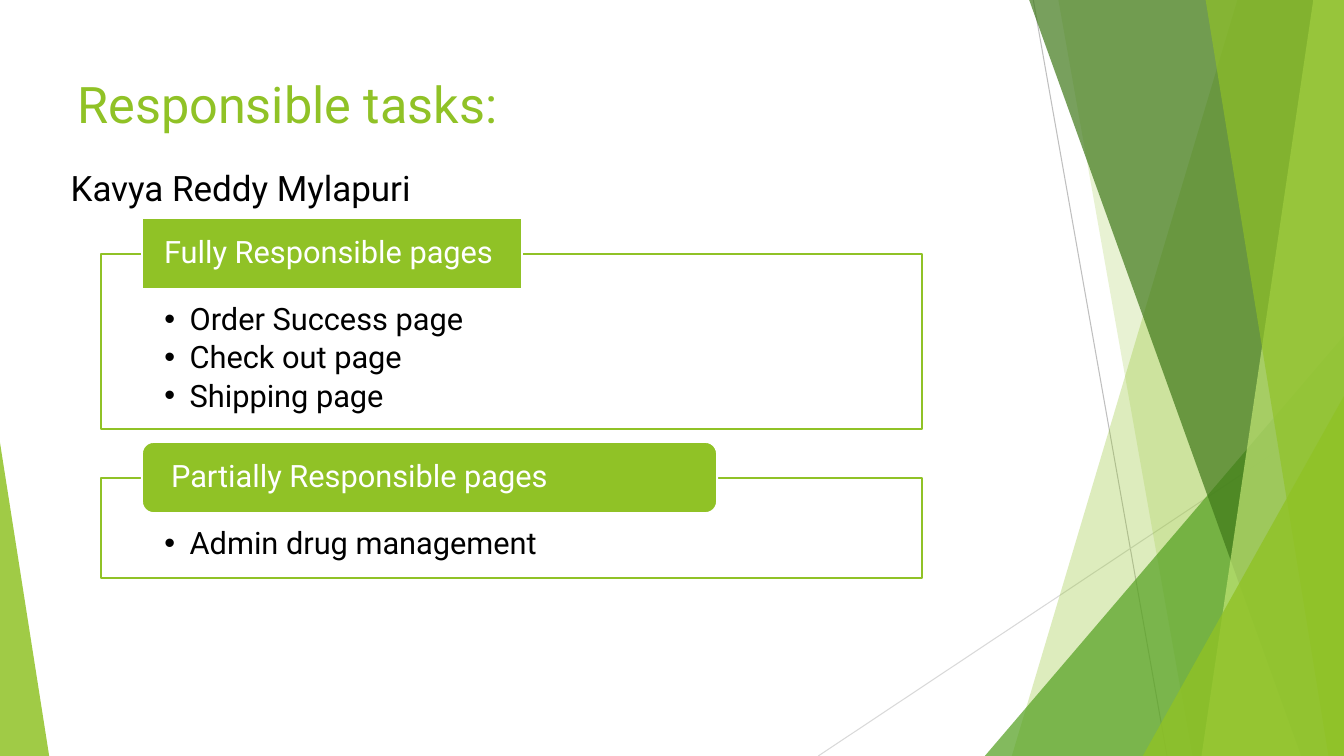
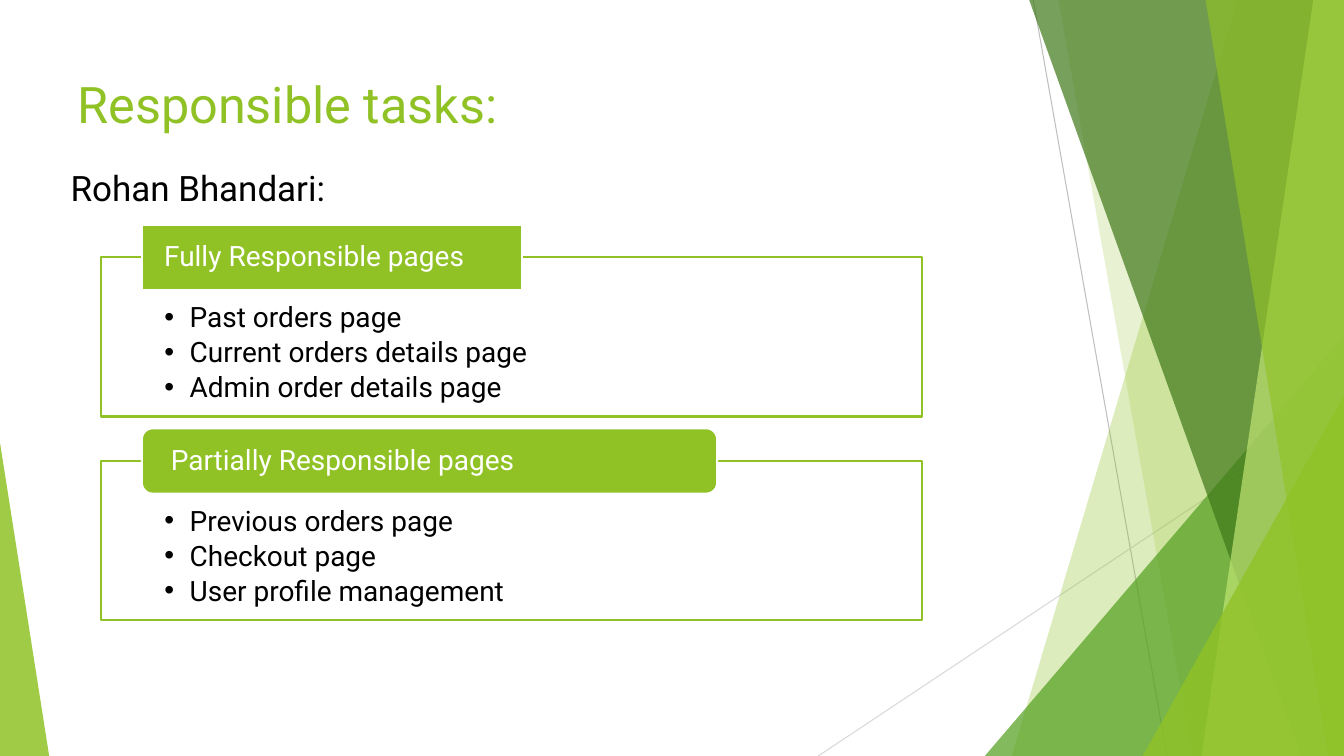
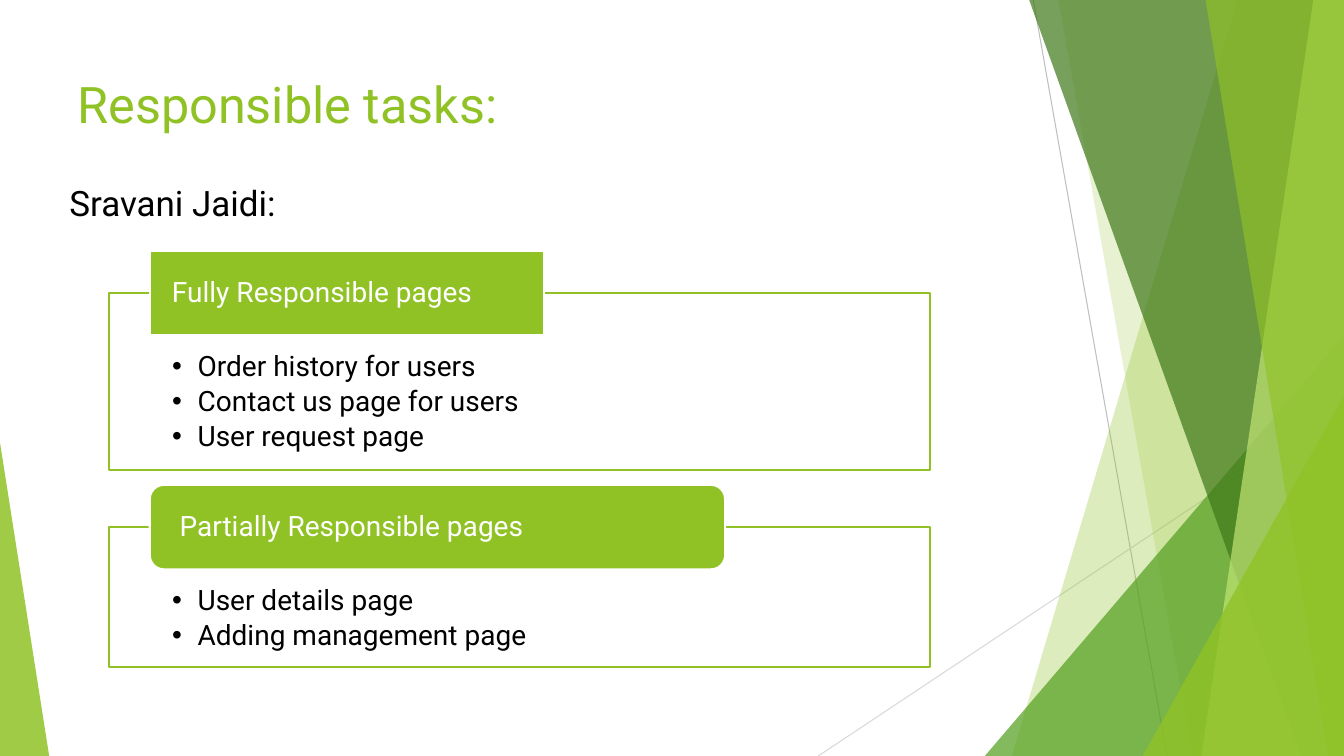
"""Build three slides that list the pages each team member is responsible for."""
from lxml.etree import SubElement
from pptx import Presentation
from pptx.dml.color import RGBColor as RGB
from pptx.enum.shapes import MSO_CONNECTOR as LINK, MSO_SHAPE as SHAPE
from pptx.enum.text import MSO_ANCHOR as ANCHOR, MSO_AUTO_SIZE as FIT, PP_ALIGN as ALIGN
from pptx.oxml.ns import qn
from pptx.util import Cm, Pt

WIDTH, HEIGHT = 33.87, 19.05
FONT = "Roboto"
COLORS = {
    "lime": "90C226", "green": "54A021", "forest": "3F7819", "pale": "C0E474",
    "ray": "BFBFBF", "light_ray": "D9D9D9", "white": "FFFFFF", "black": "000000",
}
RAYS = [
    ((26.04, 0), (29.41, HEIGHT), "ray"),
    ((WIDTH, 10.24), (20.62, HEIGHT), "light_ray"),
]
FACETS = [
    ([(31.19, -0.02), (WIDTH, -0.02), (WIDTH, HEIGHT), (25.5, HEIGHT)], "lime", 30),
    ([(26.67, -0.02), (WIDTH, -0.02), (WIDTH, HEIGHT), (30.05, HEIGHT)], "lime", 20),
    ([(WIDTH, 8.46), (WIDTH, HEIGHT), (24.82, HEIGHT)], "green", 72),
    ([(25.93, -0.02), (WIDTH, -0.02), (WIDTH, HEIGHT), (32.79, HEIGHT)], "forest", 70),
    ([(33.1, -0.02), (WIDTH, -0.02), (WIDTH, HEIGHT), (30.28, HEIGHT)], "pale", 70),
    ([(30.38, -0.02), (WIDTH, -0.02), (WIDTH, HEIGHT), (33.48, HEIGHT)], "lime", 65),
    ([(WIDTH, 9.98), (WIDTH, HEIGHT), (28.8, HEIGHT)], "lime", 80),
    ([(0, 11.15), (1.24, HEIGHT), (0, HEIGHT)], "lime", 85),
]
MEMBERS = [
    {
        "name": "Kavya Reddy Mylapuri", "name_box": (1.27, 3.91, 13.54, 1.63),
        "title_height": 3.66, "origin": (2.54, 5.49), "tag_height": 1.8,
        "tag_widths": (9.58, 14.5), "size": 22, "panel_heights": (4.42, 2.54),
        "pages": (["Order Success page", "Check out page", "Shipping page"],
                  ["Admin drug management"]),
    },
    {
        "name": "Rohan Bhandari:", "name_box": (1.27, 3.91, 13.54, 1.63),
        "title_height": 2.21, "origin": (2.54, 5.66), "tag_height": 1.65,
        "tag_widths": (9.58, 14.5), "size": 20, "panel_heights": (4.01, 4.01),
        "pages": (["Past orders page", "Current orders details page",
                   "Admin order details page"],
                  ["Previous orders page", "Checkout page", "User profile management"]),
    },
    {
        "name": "Sravani Jaidi:", "name_box": (1.24, 4.01, 13.54, 2.21),
        "title_height": 3.66, "origin": (2.74, 6.32), "tag_height": 2.13,
        "tag_widths": (9.93, 14.5), "size": 20, "panel_heights": (4.45, 3.53),
        "pages": (["Order history for users", "Contact us page for users",
                   "User request page"],
                  ["User details page", "Adding management page"]),
    },
]
TAGS = [
    ("Fully Responsible pages", SHAPE.RECTANGLE, 0.56),
    ("Partially Responsible pages", SHAPE.ROUNDED_RECTANGLE, 0.65),
]


def assign(target, **values):
    """Set each named attribute of the target."""
    for name, value in values.items():
        setattr(target, name, value)


def place(part, left, top, width, height):
    """Move and size a part, in centimetres."""
    assign(part, left=Cm(left), top=Cm(top), width=Cm(width), height=Cm(height))


def paint(part, color, opacity=100):
    """Fill a part with a colour at the given opacity in percent."""
    part.fill.solid()
    part.fill.fore_color.rgb = RGB.from_string(COLORS[color])
    if opacity < 100:
        tint = next(part.element.spPr.iter(qn("a:srgbClr")))
        SubElement(tint, qn("a:alpha"), val=str(opacity * 1000))


def outline(part, color, width):
    """Give a part or connector a solid line."""
    part.line.color.rgb = RGB.from_string(COLORS[color])
    part.line.width = Pt(width)


def write(part, lines, size, color, anchor, insets, **spacing):
    """Write one paragraph per line with shared formatting."""
    frame = part.text_frame
    left, top, right, bottom = map(Cm, insets)
    assign(frame, word_wrap=True, auto_size=FIT.NONE, vertical_anchor=anchor,
           margin_left=left, margin_top=top, margin_right=right, margin_bottom=bottom)
    frame.text = "\n".join(lines)
    for paragraph in frame.paragraphs:
        assign(paragraph, alignment=ALIGN.LEFT, space_before=Pt(0), **spacing)
        font = paragraph.runs[0].font
        assign(font, name=FONT, size=Pt(size))
        font.color.rgb = RGB.from_string(COLORS[color])


def add_scenery(slide, layout):
    """Draw the rays and facets, then hand them to the layout all slides share."""
    scenery = []
    for start, end, color in RAYS:
        ray = slide.shapes.add_connector(LINK.STRAIGHT, *map(Cm, start + end))
        outline(ray, color, 0.75)
        SubElement(ray.element.spPr, qn("a:effectLst"))
        scenery.append(ray)
    for corners, color, opacity in FACETS:
        first, *others = [(Cm(x), Cm(y)) for x, y in corners]
        builder = slide.shapes.build_freeform(*first)
        builder.add_line_segments(others, close=True)
        facet = builder.convert_to_shape()
        facet.shadow.inherit = False
        paint(facet, color, opacity)
        facet.line.fill.background()
        scenery.append(facet)
    for order, part in enumerate(scenery):
        next(part.element.iter(qn("p:cNvPr"))).set("id", str(100 + order))
        layout.shapes.element.insert(2 + order, part.element)


def add_heading(slide, member):
    """Place the slide title and the member's name."""
    title = slide.shapes.title
    place(title, 1.7, 1.7, 17.63, member["title_height"])
    write(title, ["Responsible tasks:"], 36, "lime", ANCHOR.TOP, (0.25, 0.13, 0.25, 0.13))
    name = slide.shapes.add_textbox(*map(Cm, member["name_box"]))
    write(name, [member["name"]], 25, "black", ANCHOR.MIDDLE, (0.51, 0.13, 0, 0.13))


def add_panel(slide, panel, box, pages, tag, tag_size, size):
    """Fill a framed list and set its tag astride the top edge."""
    left, top, width, height = box
    tag_width, tag_height = tag_size
    label, outline_shape, inset = tag
    place(panel, left, top + tag_height / 2, width, height)
    paint(panel, "white", 90)
    outline(panel, "lime", 1.5)
    write(panel, pages, size, "black", ANCHOR.TOP, (1.6, tag_height * 0.7, 1.6, 0.42),
          line_spacing=0.9, space_after=Pt(round(size * 0.17, 1)))
    for paragraph in panel.text_frame.paragraphs:
        indent = paragraph._p.get_or_add_pPr()
        indent.set("marL", str(Cm(0.64)))
        indent.set("indent", str(-Cm(0.64)))
    plate = slide.shapes.add_shape(
        outline_shape, *map(Cm, (left + width * 0.05, top, tag_width, tag_height)))
    plate.shadow.inherit = False
    paint(plate, "lime")
    outline(plate, "white", 1.5)
    write(plate, [label], size, "white", ANCHOR.MIDDLE, (inset, 0, inset, 0),
          line_spacing=0.9)


def add_member_slide(deck, layout, member):
    """Add one member's slide with its two stacked panels."""
    slide = deck.slides.add_slide(layout)
    add_heading(slide, member)
    left, top = member["origin"]
    tag_height = member["tag_height"]
    panels = list(slide.placeholders)[1:3]
    for panel, height, pages, tag, tag_width in zip(
            panels, member["panel_heights"], member["pages"], TAGS, member["tag_widths"]):
        add_panel(slide, panel, (left, top, 20.7, height), pages, tag,
                  (tag_width, tag_height), member["size"])
        top += height + tag_height * 0.68
    return slide


def main():
    """Build and save the deck."""
    deck = Presentation()
    assign(deck, slide_width=Cm(WIDTH), slide_height=Cm(HEIGHT))
    layout = deck.slide_layouts.get_by_name("Two Content")
    slides = [add_member_slide(deck, layout, member) for member in MEMBERS]
    add_scenery(slides[0], layout)
    deck.save("out.pptx")


if __name__ == "__main__":
    main()
